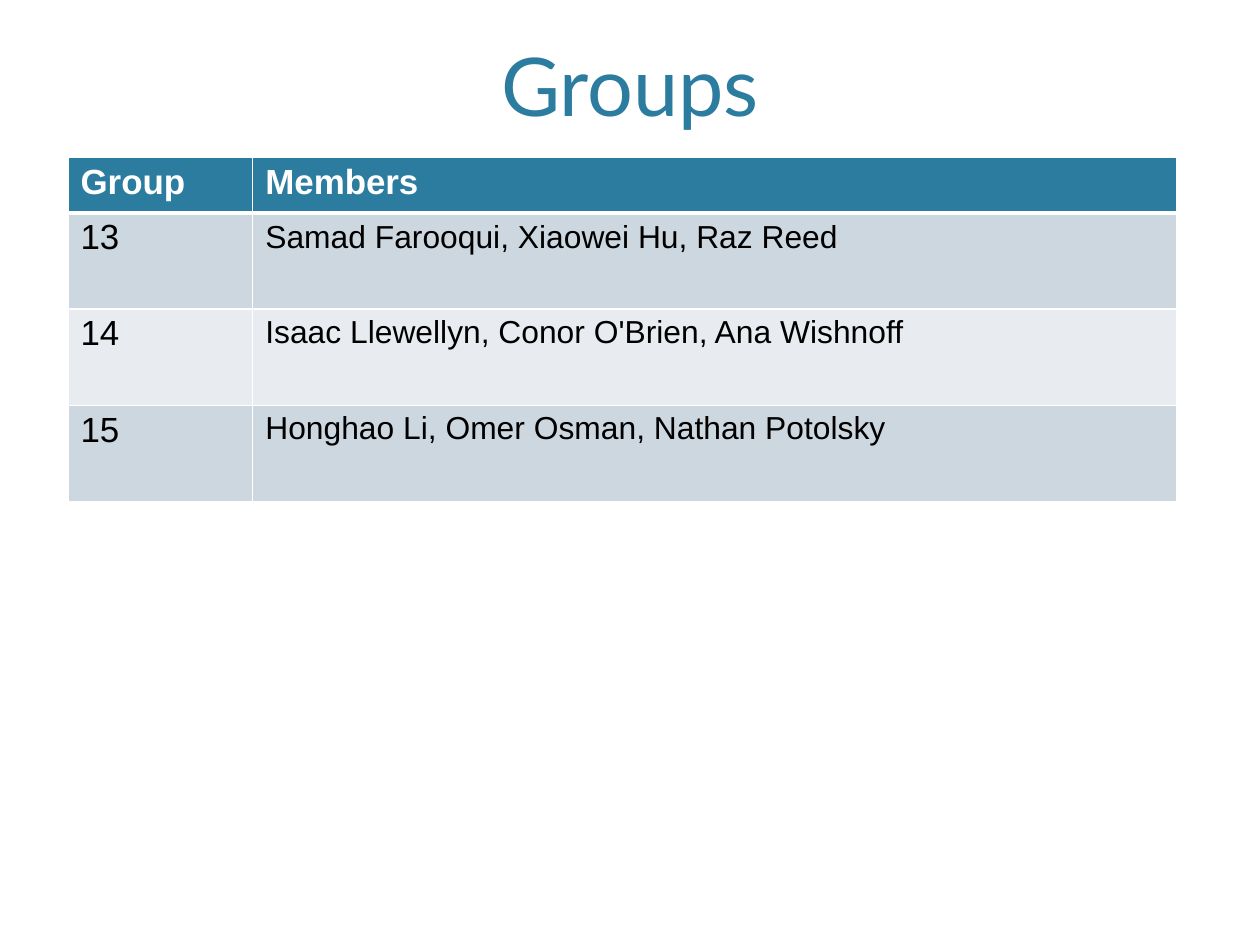
from pptx import Presentation
from pptx.dml.color import RGBColor
from pptx.enum.text import MSO_ANCHOR, PP_ALIGN
from pptx.oxml.ns import qn
from pptx.util import Cm, Inches, Pt
from lxml import etree

CENTER, BOTTOM = PP_ALIGN.CENTER, MSO_ANCHOR.BOTTOM
TEAL = RGBColor(0x2C, 0x7C, 0x9F)
BAND_DARK = RGBColor(0xCD, 0xD7, 0xDF)
BAND_LIGHT = RGBColor(0xE8, 0xEC, 0xF0)
WHITE = RGBColor(0xFF, 0xFF, 0xFF)
BLACK = RGBColor(0, 0, 0)

PAD_X, PAD_Y = Inches(0.11), Inches(0.06)
CONTENT_W = 0.88
COLUMN_SHARES = (1 / 6, 5 / 6)
TABLE_H, HEADER_H = Inches(3.01), Inches(0.48)
GROUPS = [
    ("Group", "Members"),
    ("13", "Samad Farooqui, Xiaowei Hu, Raz Reed"),
    ("14", "Isaac Llewellyn, Conor O'Brien, Ana Wishnoff"),
    ("15", "Honghao Li, Omer Osman, Nathan Potolsky"),
]


def style_text(p, font, size, color, bold=False):
    """Format every run of a paragraph."""
    for r in p.runs:
        r.font.name, r.font.size, r.font.bold = font, Pt(size), bold
        r.font.color.rgb = color


def set_borders(cell, color, **widths):
    """Draw the cell sides L, R, T and B with widths in points."""
    tcPr = cell._tc.get_or_add_tcPr()
    for side, width in widths.items():
        ln = etree.SubElement(tcPr, qn(f"a:ln{side}"), w=str(Pt(width)))
        fill = etree.SubElement(ln, qn("a:solidFill"))
        etree.SubElement(fill, qn("a:srgbClr"), val=str(color))


def add_title(s, prs, text):
    """Add the centred slide title."""
    w, h = prs.slide_width, prs.slide_height
    sp = s.shapes.add_textbox(int(w * 0.06), int(h * 0.016),
                              int(w * CONTENT_W), int(h * 0.132))
    tf = sp.text_frame
    tf.word_wrap, tf.vertical_anchor = True, BOTTOM
    tf.margin_left = tf.margin_right = PAD_X
    tf.margin_top = tf.margin_bottom = PAD_Y
    tf.text = text
    p = tf.paragraphs[0]
    p.alignment = CENTER
    style_text(p, "Lato", 51, TEAL)


def fill_cell(cell, text, row, col):
    """Write and style one table cell by its place in the grid."""
    header = row == 0
    cell.margin_left = cell.margin_right = PAD_X
    cell.margin_top = cell.margin_bottom = PAD_Y
    set_borders(cell, WHITE, L=1, R=1, T=3 if row == 1 else 1,
                B=3 if header else 1)
    cell.fill.solid()
    band = BAND_DARK if row % 2 else BAND_LIGHT
    cell.fill.fore_color.rgb = TEAL if header else band
    cell.text_frame.text = text
    p = cell.text_frame.paragraphs[0]
    if (row, col) != (1, 1):
        p.line_spacing = 0.96
    size = 22 if header or col == 0 else 20
    style_text(p, "Arial", size, WHITE if header else BLACK, header)


def add_group_table(s, prs, rows):
    """Add the banded table of groups and members."""
    w, h = prs.slide_width, prs.slide_height
    table_w = int(w * CONTENT_W)
    row_h = (TABLE_H - HEADER_H) // (len(rows) - 1)
    table = s.shapes.add_table(len(rows), len(COLUMN_SHARES), int(w * 0.054),
                               int(h * 0.167), table_w, TABLE_H).table
    for column, share in zip(table.columns, COLUMN_SHARES):
        column.width = int(table_w * share)
    for row, texts in enumerate(rows):
        table.rows[row].height = row_h if row else HEADER_H
        for col, text in enumerate(texts):
            fill_cell(table.cell(row, col), text, row, col)


def main():
    """Build and save the slide."""
    prs = Presentation()
    prs.slide_width = Cm(28)
    prs.slide_height = Cm(21)
    s = prs.slides.add_slide(prs.slide_layouts[6])
    add_title(s, prs, "Groups")
    add_group_table(s, prs, GROUPS)
    prs.save("out.pptx")


main()
